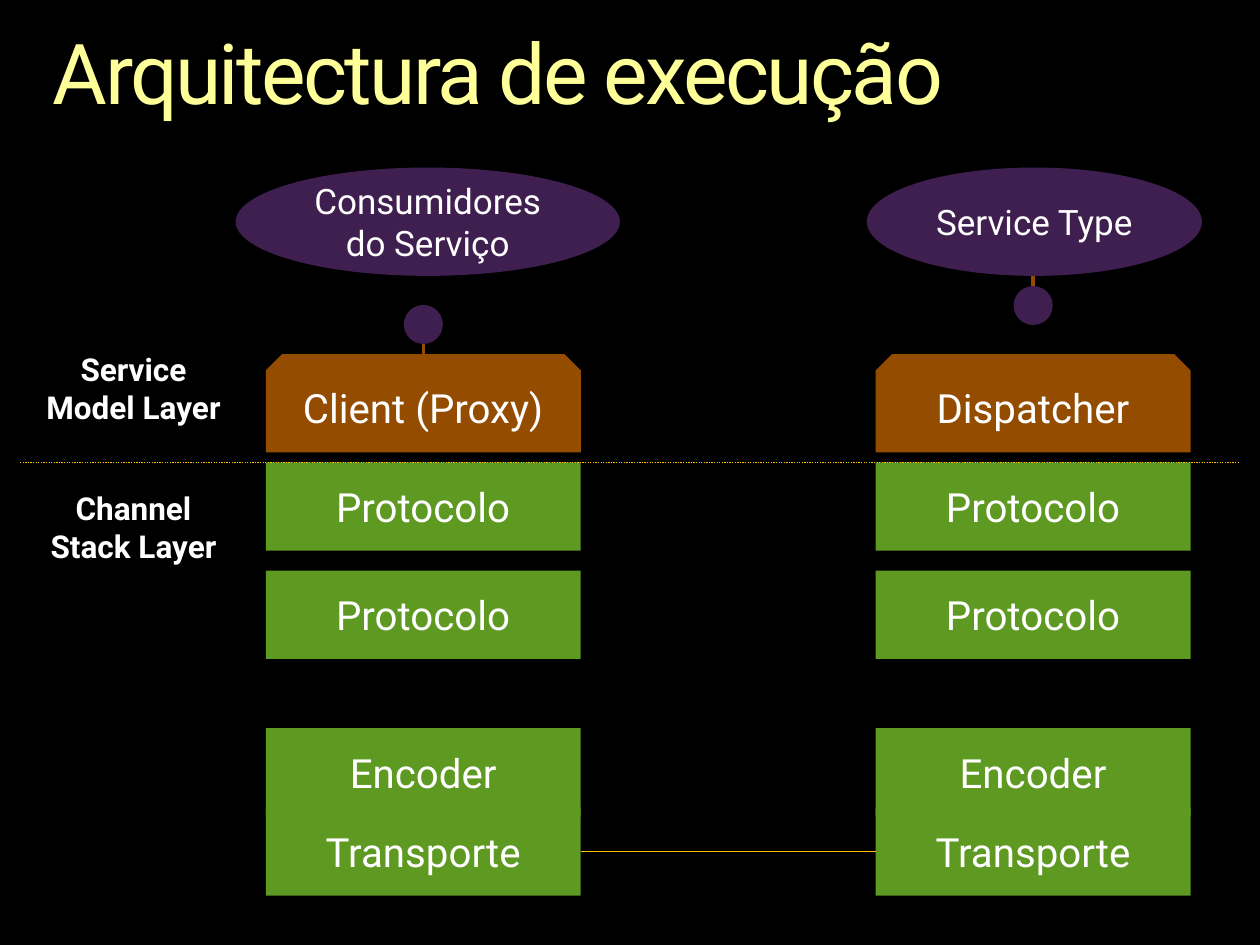
from pptx import Presentation
from pptx.dml.color import RGBColor
from pptx.enum.dml import MSO_LINE
from pptx.enum.shapes import MSO_CONNECTOR, MSO_SHAPE
from pptx.enum.text import MSO_ANCHOR, PP_ALIGN
from pptx.oxml.ns import qn
from pptx.util import Inches, Pt

COLOURS = {
    "background": "000000",
    "title": "FFFF99",
    "text": "FFFFFF",
    "channel": "5E9922",
    "model": "944D00",
    "endpoint": "3F1F50",
    "wire": "FFC000",
}
FONT = "Roboto"
SIDES = {"client": 2.11, "service": 6.95}
COLUMN_WIDTH = 2.5
LAYER_HEIGHT = 0.7
CHANNEL_ROWS = [("Encoder", 5.78), ("Protocolo", 4.53), ("Protocolo", 3.67), ("Transporte", 6.41)]
MODEL_TOP, MODEL_HEIGHT = 2.81, 0.78
ROLE_TOP, ROLE_HEIGHT = 1.33, 0.86
PORT_SIZE = 0.31
BOUNDARY = 3.67
MARGIN = 0.16


def colour(name):
    """Return the named colour."""
    return RGBColor.from_string(COLOURS[name])


def write(frame, text, size, fill="text", bold=False, align=PP_ALIGN.CENTER,
          anchor=MSO_ANCHOR.MIDDLE, line_spacing=None, tracking=None):
    """Put formatted text into a text frame."""
    frame.word_wrap = True
    frame.vertical_anchor = anchor
    paragraph = frame.paragraphs[0]
    paragraph.alignment = align
    paragraph.line_spacing = line_spacing
    run = paragraph.add_run()
    run.text = text
    run.font.name = FONT
    run.font.size = Pt(size)
    run.font.bold = bold
    run.font.color.rgb = colour(fill)
    if tracking is not None:
        run.font._element.set("spc", str(int(tracking * 100)))


def add_block(slide, kind, box, fill, text="", size=23):
    """Add a filled shape with an optional centred label."""
    block = slide.shapes.add_shape(kind, *map(Inches, box))
    block.shadow.inherit = False
    block.fill.solid()
    block.fill.fore_color.rgb = colour(fill)
    block.line.fill.background()
    if text:
        write(block.text_frame, text, size)
    return block


def add_label(slide, box, text, size, inset=None, **style):
    """Add a free-standing text."""
    frame = slide.shapes.add_textbox(*map(Inches, box)).text_frame
    if inset is not None:
        frame.margin_left = frame.margin_right = Inches(inset)
        frame.margin_top = frame.margin_bottom = Inches(inset)
    write(frame, text, size, anchor=MSO_ANCHOR.TOP, **style)


def add_line(slide, start, end, stroke, width, dash=None):
    """Add a straight connector."""
    line = slide.shapes.add_connector(MSO_CONNECTOR.STRAIGHT, *map(Inches, start + end))
    line.line.color.rgb = colour(stroke)
    line.line.width = Pt(width)
    line.line.dash_style = dash
    properties = line._element.spPr
    properties.append(properties.makeelement(qn("a:effectLst"), {}))
    return line


def add_stack(slide, left, model_name):
    """Add one side's layers and return its transport layer."""
    for name, top in CHANNEL_ROWS:
        layer = add_block(slide, MSO_SHAPE.RECTANGLE, (left, top, COLUMN_WIDTH, LAYER_HEIGHT),
                          "channel", name)
    add_block(slide, MSO_SHAPE.SNIP_2_SAME_RECTANGLE,
              (left, MODEL_TOP, COLUMN_WIDTH, MODEL_HEIGHT), "model", model_name)
    return layer


def add_role(slide, left, width, name):
    """Add the ellipse of a participant."""
    add_block(slide, MSO_SHAPE.OVAL, (left, ROLE_TOP, width, ROLE_HEIGHT), "endpoint", name, 20)


def add_port(slide, side, top, stem_start, stem_end):
    """Add an endpoint circle and its short stem."""
    centre = SIDES[side] + COLUMN_WIDTH / 2
    add_block(slide, MSO_SHAPE.OVAL, (centre - PORT_SIZE / 2, top, PORT_SIZE, PORT_SIZE),
              "endpoint")
    add_line(slide, (centre, stem_start), (centre, stem_end), "model", 2)


def main():
    """Build and save the slide."""
    deck = Presentation()
    deck.slide_width, deck.slide_height = Inches(10), Inches(7.5)
    slide = deck.slides.add_slide(deck.slide_layouts[6])
    slide.background.fill.solid()
    slide.background.fill.fore_color.rgb = colour("background")

    add_label(slide, (0.42, 0.25, 9.17, 0.73), "Arquitectura de execução", 48, inset=0,
              fill="title", align=PP_ALIGN.LEFT, line_spacing=0.9, tracking=-1.5)

    client_transport = add_stack(slide, SIDES["client"], "Client (Proxy)")
    service_transport = add_stack(slide, SIDES["service"], "Dispatcher")

    add_port(slide, "client", 2.42, 2.42 + PORT_SIZE, MODEL_TOP)
    add_role(slide, 6.88, 2.66, "Service Type")
    add_port(slide, "service", 2.27, 2.27, ROLE_TOP + ROLE_HEIGHT)
    add_role(slide, 1.87, 3.05, "Consumidores do Serviço")

    add_line(slide, (MARGIN, BOUNDARY), (10 - MARGIN, BOUNDARY), "wire", 0.75,
             MSO_LINE.ROUND_DOT)
    for name, top in (("Service Model Layer", 2.73), ("Channel Stack Layer", 3.83)):
        add_label(slide, (MARGIN, top, 1.8, 0.71), name, 18, bold=True)

    wire = add_line(slide, (4.61, 6.76), (6.95, 6.76), "wire", 0.75)
    wire.begin_connect(client_transport, 3)
    wire.end_connect(service_transport, 1)

    deck.save("out.pptx")


if __name__ == "__main__":
    main()
